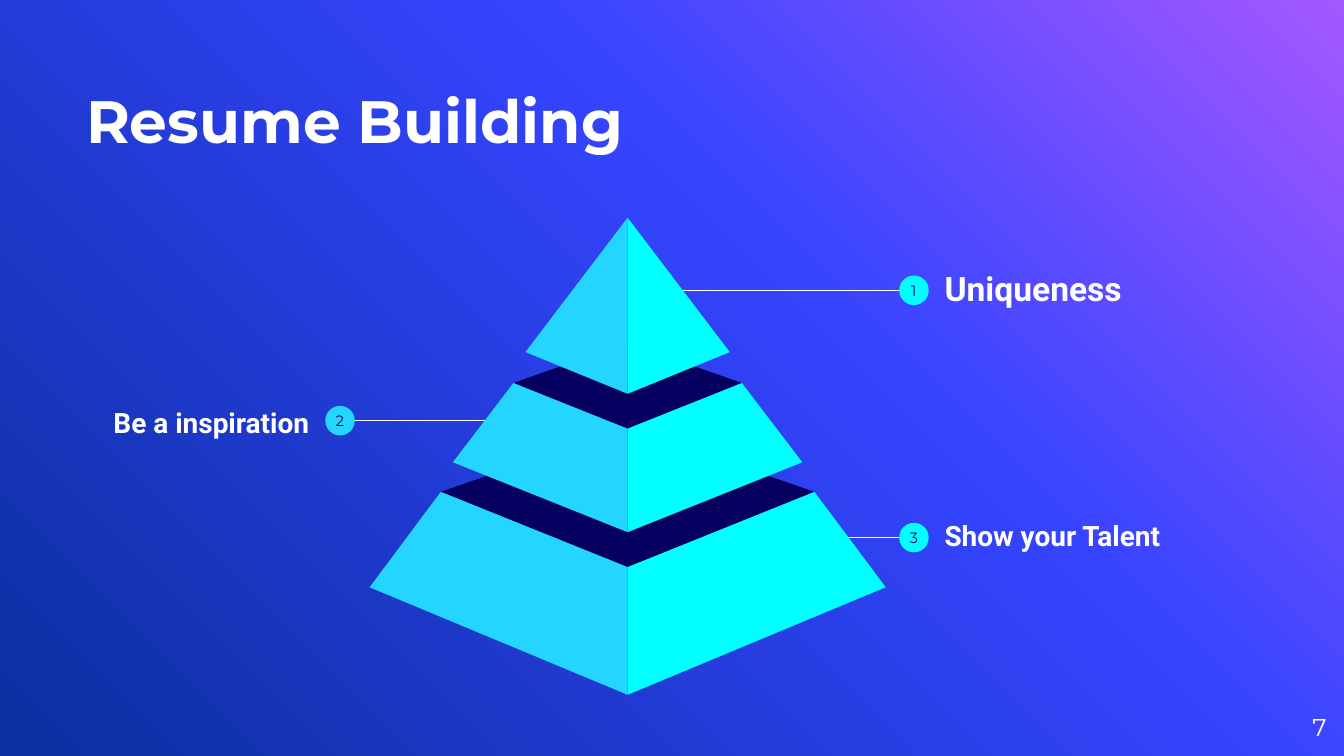
import pptx
import copy
import pptx.util
import pptx.dml.color
import pptx.enum.shapes
import pptx.enum.text
import pptx.oxml.ns
import lxml.etree

Inches = pptx.util.Inches
Align = pptx.enum.text.PP_ALIGN
Anchor = pptx.enum.text.MSO_ANCHOR

THEME = {
    "white": "FFFFFF", "navy": "050060", "cyan": "00FFFF", "sky": "24D6FF",
    "backdrop": [(0, "A458FF"), (0.39, "3544FF"), (1, "0A2F9E")],
    "heading": "Montserrat", "body": "Roboto",
    "title": 32, "large": 18, "label": 15, "page": 13, "number": 8, "rule": 0.75,
}
WIDTH = 10
AXIS = 4.67
TIERS = [
    {"shoulder": (3.28, 3.66), "foot": (2.75, 4.37), "front": (4.22, 5.17), "back": 3.18},
    {"shoulder": (3.82, 2.85), "foot": (3.37, 3.44), "front": (3.19, 3.96), "back": 2.55},
    {"shoulder": (AXIS, 1.62), "foot": (3.91, 2.62), "front": (1.62, 2.93), "back": None},
]
CALLOUTS = [
    {"number": "3", "text": "Show your Talent", "size": "label", "dot": (6.8, 4), "edge": 6.27,
     "left": 6.93, "middle": 3.98, "align": Align.LEFT, "fill": "cyan"},
    {"number": "2", "text": "Be a inspiration", "size": "label", "dot": (2.53, 3.13), "edge": 3.64,
     "left": 0.36, "middle": 3.14, "align": Align.RIGHT, "fill": "sky"},
    {"number": "1", "text": "Uniqueness", "size": "large", "dot": (6.8, 2.16), "edge": 5.03,
     "left": 6.93, "middle": 2.14, "align": Align.LEFT, "fill": "cyan"},
]
DOT = 0.22
LABEL = (2.04, 1.51)
NUMBER = (0.27, 0.34)


def color(name):
    return pptx.dml.color.RGBColor.from_string(THEME.get(name, name))


def assign(target, values):
    for name, value in values.items():
        setattr(target, name, value)


def paint(shape, fill):
    shape.shadow.inherit = False
    shape.fill.solid()
    shape.fill.fore_color.rgb = color(fill)
    shape.line.fill.background()


def add_text(page, place, text, size, font="heading", ink="white", bold=False,
             align=Align.LEFT, anchor=Anchor.MIDDLE, inset=0, after=0, spacing=1.0):
    box = page.shapes.add_textbox(*map(Inches, place))
    margins = {f"margin_{side}": Inches(inset) for side in ("left", "top", "right", "bottom")}
    assign(box.text_frame, {"word_wrap": True, "vertical_anchor": anchor, **margins})
    para = box.text_frame.paragraphs[0]
    assign(para, {"alignment": align, "space_after": pptx.util.Pt(after), "line_spacing": spacing})
    span = para.add_run()
    span.text = text
    assign(span.font, {"name": THEME[font], "size": pptx.util.Pt(THEME[size]), "bold": bold})
    span.font.color.rgb = color(ink)


def add_face(page, points, fill):
    corners = [(Inches(x), Inches(y)) for x, y in points]
    builder = page.shapes.build_freeform(*corners[0])
    builder.add_line_segments(corners[1:], close=True)
    paint(builder.convert_to_shape(), fill)


def mirror(points):
    return [(2 * AXIS - x, y) for x, y in points]


def add_tier(page, tier):
    top, bottom = [(AXIS, y) for y in tier["front"]]
    shoulder = tier["shoulder"]
    if tier["back"]:
        add_face(page, [shoulder, top, *mirror([shoulder]), (AXIS, tier["back"])], "navy")
    side = [shoulder, tier["foot"], bottom]
    if top != shoulder:
        side.append(top)
    add_face(page, side, "sky")
    add_face(page, mirror(side), "cyan")


def add_callout(page, item):
    x, y = item["dot"]
    rule = page.shapes.add_connector(
        pptx.enum.shapes.MSO_CONNECTOR.STRAIGHT,
        *map(Inches, (item["edge"], y, x, y)))
    rule.line.color.rgb = color("white")
    rule.line.width = pptx.util.Pt(THEME["rule"])
    lxml.etree.SubElement(rule.element.spPr, pptx.oxml.ns.qn("a:effectLst"))
    add_text(page, (item["left"], item["middle"] - LABEL[1] / 2, *LABEL), item["text"],
             item["size"], font="body", bold=True, align=item["align"], inset=0.1, after=16)
    dot = page.shapes.add_shape(
        pptx.enum.shapes.MSO_SHAPE.OVAL,
        *map(Inches, (x - DOT / 2, y - DOT / 2, DOT, DOT)))
    paint(dot, item["fill"])
    add_text(page, (x - NUMBER[0] / 2, y - NUMBER[1] / 2, *NUMBER), item["number"], "number",
             ink="navy", align=Align.CENTER, anchor=Anchor.TOP, inset=0.1, after=16, spacing=1.2)


def add_backdrop(page):
    fill = page.background.fill
    fill.gradient()
    fill.gradient_angle = 225
    stops = page.element.xpath(".//p:bg//a:gs")
    stops[0].addnext(copy.deepcopy(stops[0]))
    for stop, (position, ink) in zip(fill.gradient_stops, THEME["backdrop"]):
        stop.position = position
        stop.color.rgb = color(ink)


deck = pptx.Presentation()
assign(deck, {"slide_width": Inches(WIDTH), "slide_height": Inches(WIDTH * 9 / 16)})
page = deck.slides.add_slide(deck.slide_layouts[6])
add_backdrop(page)
add_text(page, (0.64, 0.23, 6.58, 0.93), "Resume Building", "title", bold=True, anchor=Anchor.BOTTOM)
add_text(page, (9.27, 5.19, 0.6, 0.43), "7", "page", align=Align.RIGHT)
for item in CALLOUTS:
    add_callout(page, item)
for tier in TIERS:
    add_tier(page, tier)
deck.save("out.pptx")
